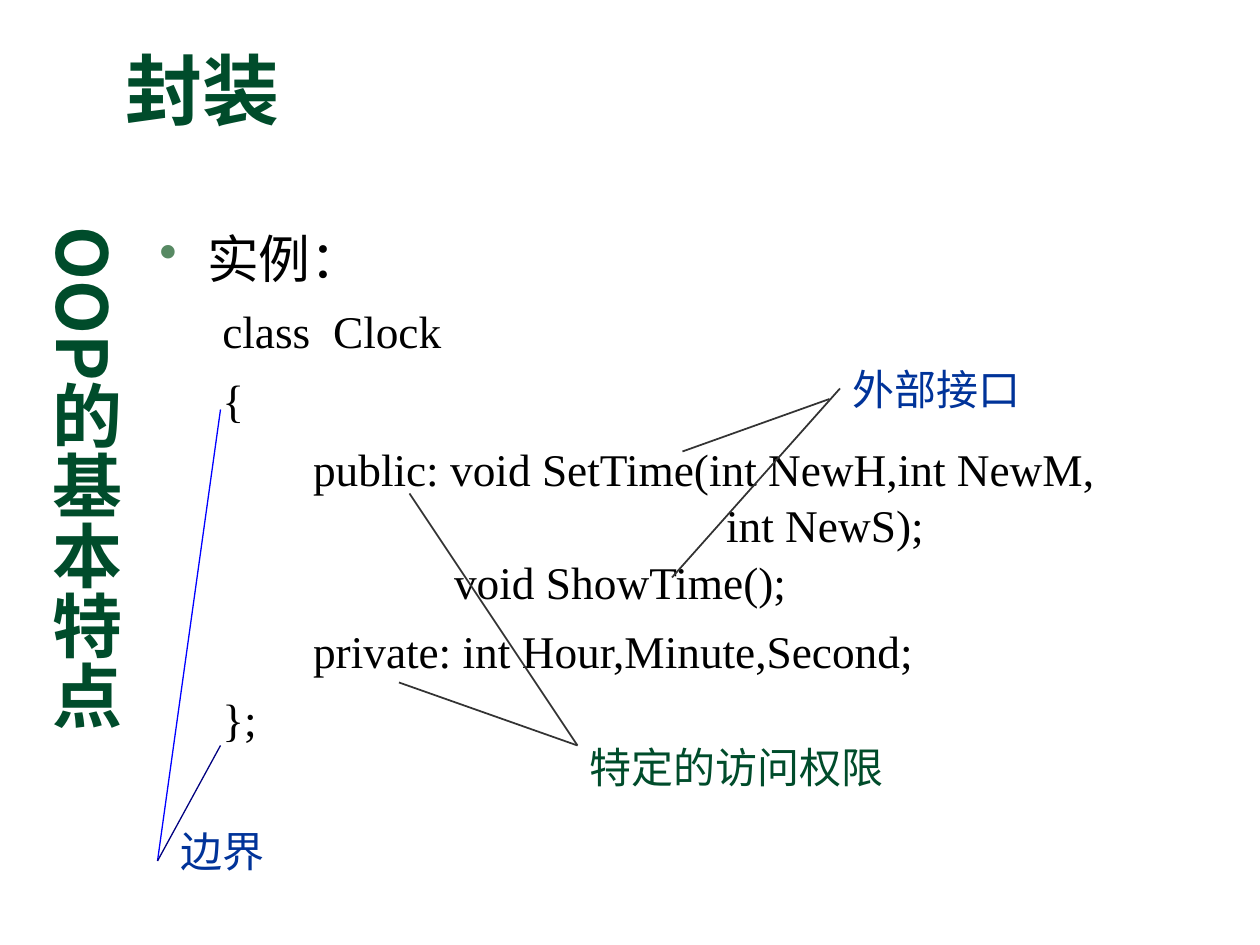
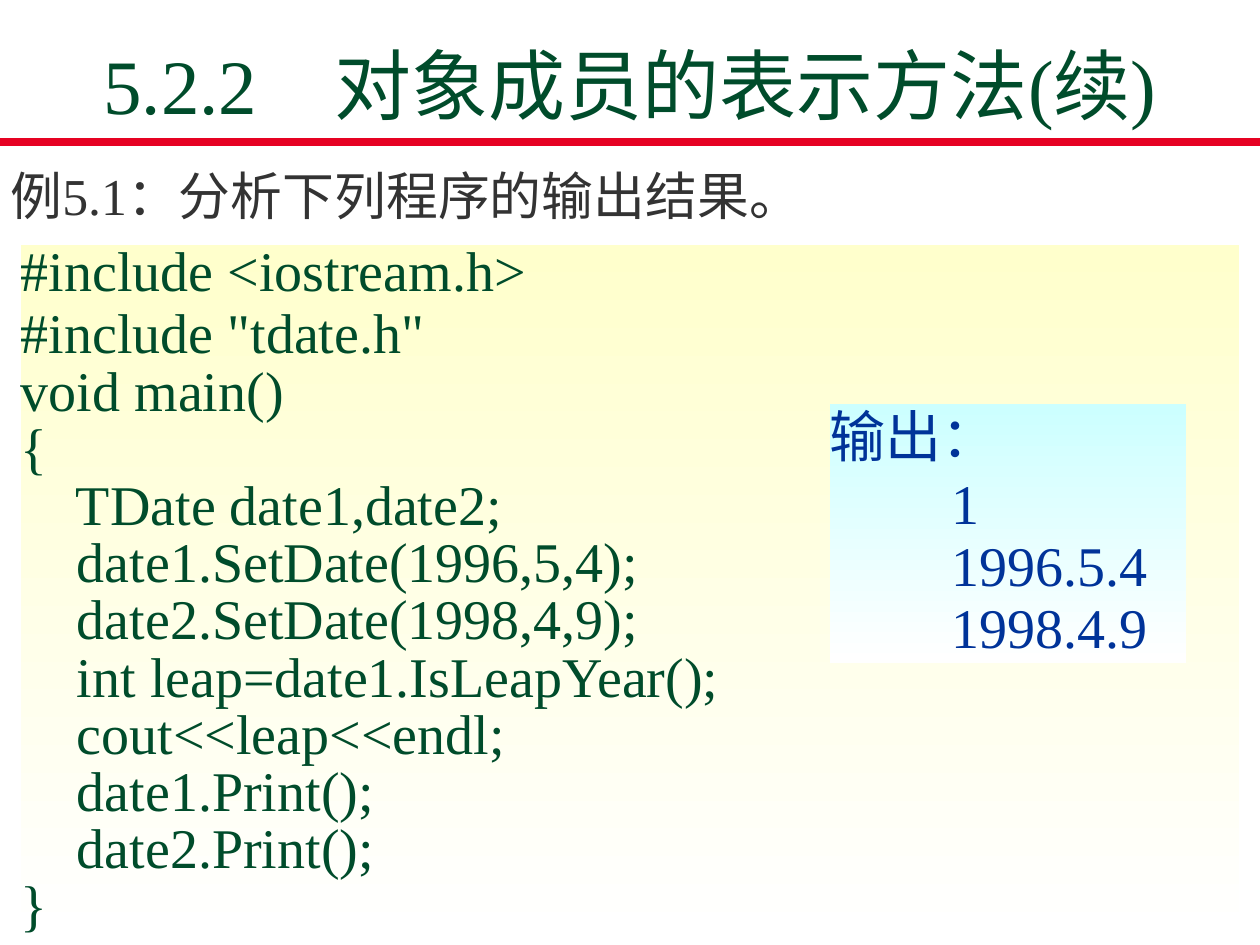
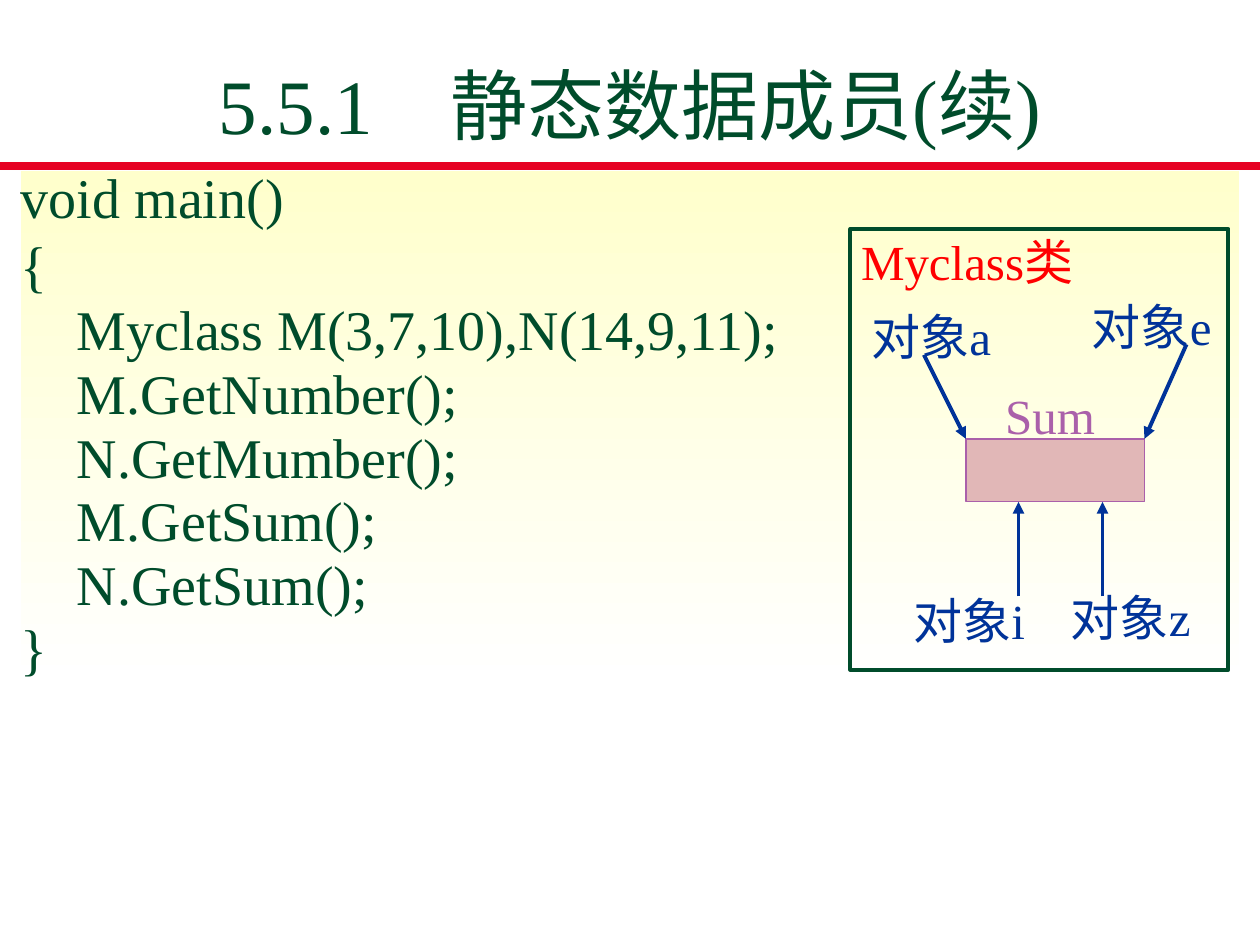
import pptx
import pptx.util
import pptx.dml.color
import pptx.enum.shapes
import pptx.enum.text
import pptx.oxml.ns
import lxml.etree
from dataclasses import dataclass

COLUMNS, ROWS = 120, 90  # grid of the 10 x 7.5 inch slide
UNIT = pptx.util.Inches(10) / COLUMNS


@dataclass(frozen=True)
class Theme:
    latin: str = "Times New Roman"
    chinese: str = "Noto Sans CJK SC"
    green: str = "004C2B"
    blue: str = "003399"
    black: str = "000000"
    gray: str = "333333"
    red: str = "FF0000"
    purple: str = "AA60AA"
    rose: str = "E1B7B7"
    bullet: str = "578963"
    rule: str = "E60223"
    yellow: str = "FFFFCC"
    cyan: str = "CCFFFF"
    white: str = "FFFFFF"
    bright_blue: str = "0000FF"
    navy: str = "000080"
    title: float = 44
    side: float = 40
    code: float = 32
    body: float = 29.6
    label: float = 28
    class_code: float = 25.9
    note: float = 24


THEME = Theme()

# ---- Content: places are (left, top, width, height) in grid units ----
FEATURE_TITLE = "封装"
FEATURE_SIDE = "OOP的基本特点"
EXAMPLE = "实例："
CLOCK_CODE = [
    "class  Clock",
    "{",
    "        public: void SetTime(int NewH,int NewM,\n"
    "                                         int NewS);\n"
    "                 void ShowTime();",
    "        private: int Hour,Minute,Second;",
    "};",
]
CLOCK_NOTES = [
    ("边界", (16, 78, 12, 6), THEME.blue),
    ("特定的访问权限", (55, 70, 31, 6), THEME.green),
    ("外部接口", (80, 34, 21, 6), THEME.blue),
]
CLOCK_POINTERS = [  # start, end, colour, width
    ((21, 39), (15, 82), THEME.bright_blue, 0.75),
    ((21, 71), (15, 82), THEME.navy, 0.75),
    ((64, 55), (80, 37), THEME.gray, 1),
    ((65, 43), (79, 38), THEME.gray, 1),
    ((39, 47), (55, 71), THEME.gray, 1),
    ((38, 65), (55, 71), THEME.gray, 1),
]

DATE_TITLE = "5.2.2　对象成员的表示方法(续)"
DATE_LEAD = "例5.1：分析下列程序的输出结果。"
DATE_CODE = [
    "#include <iostream.h>",
    '#include "tdate.h"',
    "void main()",
    "{",
    "    TDate date1,date2;",
    "    date1.SetDate(1996,5,4);",
    "    date2.SetDate(1998,4,9);",
    "    int leap=date1.IsLeapYear();",
    "    cout<<leap<<endl;",
    "    date1.Print();",
    "    date2.Print();",
    "}",
]
DATE_OUTPUT = ["输出：", "1", "1996.5.4", "1998.4.9"]

STATIC_TITLE = "5.5.1　静态数据成员(续)"
STATIC_CODE = [
    "void main()",
    "{",
    "    Myclass M(3,7,10),N(14,9,11);",
    "    M.GetNumber();",
    "    N.GetMumber();",
    "    M.GetSum();",
    "    N.GetSum();",
    "}",
]
LABEL_HEIGHT = 6.7
DIAGRAM_LABELS = [  # text, left, top, width, colour, alignment
    ("Myclass类", 82, 20.9, 22, THEME.red, "left"),
    ("Sum", 89, 35.6, 22, THEME.purple, "center"),
    ("对象a", 83, 28.1, 13, THEME.blue, "left"),
    ("对象e", 104, 27.1, 13, THEME.blue, "left"),
    ("对象i", 87, 55.1, 13, THEME.blue, "left"),
    ("对象z", 102, 54.8, 13, THEME.blue, "left"),
]
SUM_BOX = (92, 41.8, 17, 6)
OBJECT_ARROWS = [
    ((88, 33.8), (92, 41.8)),
    ((113, 32.8), (109, 41.8)),
    ((97, 56.8), (97, 47.8)),
    ((105, 56.8), (105, 47.8)),
]


# ---- Drawing helpers ----
def grid(*values):
    return [pptx.util.Emu(round(value * UNIT)) for value in values]


def rgb(value):
    return pptx.dml.color.RGBColor.from_string(value)


def add_element(parent, tag, **attributes):
    return lxml.etree.SubElement(parent, pptx.oxml.ns.qn(tag), attributes)


def write(frame, paragraphs, size, color, first=True, font=THEME.latin, bold=False,
          align="left", spacing=None, before=0, margin=0, indent=0, bullet=None):
    """Write paragraphs; with first=False they follow the text already there."""
    for index, text in enumerate(paragraphs):
        opening = first and index == 0
        para = frame.paragraphs[0] if opening else frame.add_paragraph()
        para.alignment = getattr(pptx.enum.text.PP_ALIGN, align.upper())
        props = para._p.get_or_add_pPr()
        props.set("marL", str(pptx.util.Inches(margin)))
        props.set("indent", str(pptx.util.Inches(indent)))
        if bullet:
            add_element(add_element(props, "a:buClr"), "a:srgbClr", val=bullet)
            add_element(props, "a:buChar", char="•")
        else:
            add_element(props, "a:buNone")
        if spacing:
            para.line_spacing = spacing
        if before and not opening:
            para.space_before = pptx.util.Pt(before)
        for number, line in enumerate(text.split("\n")):
            if number:
                para.add_line_break()
            span = para.add_run()
            span.text = line
            span.font.size = pptx.util.Pt(size)
            span.font.bold = bold
            span.font.color.rgb = rgb(color)
            span.font.name = font
            add_element(span._r.get_or_add_rPr(), "a:ea", typeface=THEME.chinese)


def set_frame(shape, anchor="top", insets=(0.1, 0.05)):
    frame = shape.text_frame
    frame.word_wrap = True
    frame.vertical_anchor = getattr(pptx.enum.text.MSO_ANCHOR, anchor.upper())
    frame.margin_left = frame.margin_right = pptx.util.Inches(insets[0])
    frame.margin_top = frame.margin_bottom = pptx.util.Inches(insets[1])
    return frame


def add_text(page, place, paragraphs, size, color, anchor="top", insets=(0.1, 0.05), **style):
    frame = set_frame(page.shapes.add_textbox(*grid(*place)), anchor, insets)
    write(frame, paragraphs, size, color, **style)
    return frame


def add_box(page, place, fill=None, fade=None, line=None, width=0.75):
    box = page.shapes.add_shape(pptx.enum.shapes.MSO_SHAPE.RECTANGLE, *grid(*place))
    box.shadow.inherit = False
    if fade:
        box.fill.gradient()
        box.fill.gradient_angle = 270
        for stop, color in zip(box.fill.gradient_stops, (fade, THEME.white)):
            stop.color.rgb = rgb(color)
    elif fill:
        box.fill.solid()
        box.fill.fore_color.rgb = rgb(fill)
    else:
        box.fill.background()
    if line:
        box.line.color.rgb = rgb(line)
        box.line.width = pptx.util.Pt(width)
    else:
        box.line.fill.background()
    return box


def add_line(page, start, end, color, width, arrow=False):
    line = page.shapes.add_connector(
        pptx.enum.shapes.MSO_CONNECTOR.STRAIGHT, *grid(*start, *end))
    line.line.color.rgb = rgb(color)
    line.line.width = pptx.util.Pt(width)
    if arrow:
        add_element(line.line._get_or_add_ln(), "a:tailEnd", type="triangle")
    add_element(line._element.spPr, "a:effectLst")


def add_panel(page, place, paragraphs, fade, color, first_spacing, spacing, margin=0):
    """Faded panel whose first line is set looser than the rest."""
    frame = set_frame(add_box(page, place, fade=fade), "middle", (0, 0.08))
    write(frame, paragraphs[:1], THEME.code, color, spacing=first_spacing)
    write(frame, paragraphs[1:], THEME.code, color, first=False,
          spacing=spacing, before=20, margin=margin)


def add_heading(page, text, place, rule_row):
    add_text(page, place, [text], THEME.title, THEME.green, anchor="middle", align="center")
    add_line(page, (0, rule_row), (COLUMNS, rule_row), THEME.rule, 4.5)


# ---- Slides ----
def build_clock(page):
    frame = add_text(page, (14, 21, 107, 51), [EXAMPLE], THEME.body, THEME.black,
                     margin=0.38, indent=-0.38, bullet=THEME.bullet)
    write(frame, CLOCK_CODE, THEME.class_code, THEME.black, first=False,
          spacing=1.04, before=7, margin=0.81, indent=-0.31)
    for pointer in CLOCK_POINTERS:
        add_line(page, *pointer)
    for text, place, color in CLOCK_NOTES:
        add_text(page, place, [text], THEME.note, color)
    heading = dict(font=THEME.chinese, bold=True)
    add_text(page, (10.8, 3.4, 94, 10), [FEATURE_TITLE], THEME.title, THEME.green,
             anchor="bottom", **heading)
    side = add_text(page, (2.4, 20.4, 10.3, 60), [FEATURE_SIDE], THEME.side, THEME.green,
                    insets=(0.05, 0.1), align="center", **heading)
    side._txBody.bodyPr.set("vert", "eaVert")


def build_date(page):
    add_heading(page, DATE_TITLE, (5, 4.5, 110, 7), 13.5)
    add_panel(page, (2, 23.3, 116, 66.2), DATE_CODE, THEME.yellow, THEME.green, 0.7, 0.33)
    add_panel(page, (79, 38.5, 34, 24.7), DATE_OUTPUT, THEME.cyan, THEME.blue, 0.8, 0.4,
              margin=0.97)
    add_text(page, (1, 15.6, 119, 6), [DATE_LEAD], THEME.body, THEME.gray,
             anchor="middle", insets=(0, 0))


def build_static(page):
    add_heading(page, STATIC_TITLE, (9, 6.4, 102, 7), 15.8)
    add_panel(page, (2, 16.3, 116, 49), STATIC_CODE, THEME.yellow, THEME.green, 0.7, 0.43)
    # Class diagram
    add_box(page, (81, 21.8, 36, 42), line=THEME.green, width=2.25)
    add_box(page, SUM_BOX, fill=THEME.rose, line=THEME.purple)
    for text, left, top, width, color, align in DIAGRAM_LABELS:
        add_text(page, (left, top, width, LABEL_HEIGHT), [text], THEME.label, color,
                 anchor="middle", insets=(0, 0), align=align, spacing=1.2)
    for start, end in OBJECT_ARROWS:
        add_line(page, start, end, THEME.blue, 2.25, arrow=True)


def main():
    deck = pptx.Presentation()
    deck.slide_width, deck.slide_height = grid(COLUMNS, ROWS)
    for build in (build_clock, build_date, build_static):
        build(deck.slides.add_slide(deck.slide_layouts[6]))
    deck.save("out.pptx")


if __name__ == "__main__":
    main()
